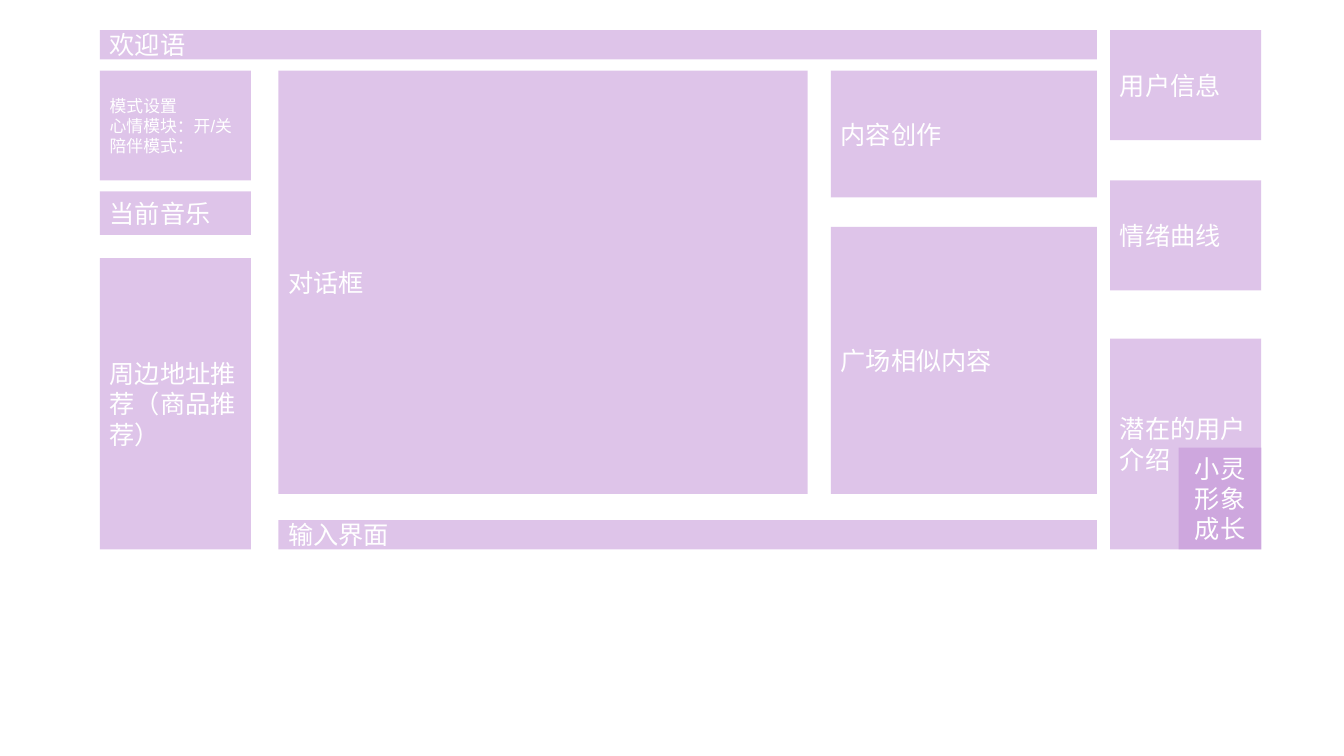
from dataclasses import dataclass

from lxml import etree
from pptx import Presentation
from pptx.dml.color import RGBColor
from pptx.enum.shapes import MSO_SHAPE as Preset
from pptx.enum.text import MSO_ANCHOR as Anchor, PP_ALIGN as Align
from pptx.oxml.ns import qn
from pptx.util import Inches, Pt


@dataclass(frozen=True)
class Theme:
    panel: RGBColor = RGBColor(0xBF, 0x8B, 0xD5)
    alpha: str = "50000"
    text: RGBColor = RGBColor(0xFF, 0xFF, 0xFF)
    font: str = "Arial"
    label: Pt = Pt(18)
    small: Pt = Pt(12)


theme = Theme()
prs = Presentation()
prs.slide_width, prs.slide_height = Inches(13.33), Inches(7.5)
slide = prs.slides.add_slide(prs.slide_layouts[6])


def add_panel(label, left, top, width, height, size=theme.label, align=Align.LEFT):
    panel = slide.shapes.add_shape(
        Preset.RECTANGLE, Inches(left), Inches(top), Inches(width), Inches(height))
    panel.shadow.inherit = False
    panel.line.fill.background()
    panel.fill.solid()
    panel.fill.fore_color.rgb = theme.panel
    color = panel.fill._xPr.find(qn("a:solidFill"))[0]
    etree.SubElement(color, qn("a:alpha"), val=theme.alpha)

    frame = panel.text_frame
    frame.word_wrap = True
    frame.vertical_anchor = Anchor.MIDDLE
    frame.text = label
    for paragraph in frame.paragraphs:
        paragraph.alignment = align
        for run in paragraph.runs:
            run.font.name = theme.font
            run.font.size = size
            run.font.color.rgb = theme.text


# Page grid: sidebars on both sides, chat and content between them
left_bar, chat, content, right_bar = 0.99, 2.76, 8.24, 11.01
bar_w, chat_w, content_w = 1.5, 5.25, 2.64
content_right = content + content_w
top, body_top, body_bottom, bottom = 0.3, 0.7, 4.9, 5.45
strip_h, card_h = 0.29, 1.09

# Welcome strip and input strip
add_panel("欢迎语", left_bar, top, content_right - left_bar, strip_h)
add_panel("输入界面", chat, bottom - strip_h, content_right - chat, strip_h)

# Left sidebar
add_panel("模式设置\n心情模块：开/关\n陪伴模式：",
          left_bar, body_top, bar_w, card_h, size=theme.small)
add_panel("当前音乐", left_bar, 1.9, bar_w, 0.43)
add_panel("周边地址推荐（商品推荐）", left_bar, 2.56, bar_w, bottom - 2.56)

# Chat and content columns
add_panel("对话框", chat, body_top, chat_w, body_bottom - body_top)
add_panel("内容创作", content, body_top, content_w, 1.26)
add_panel("广场相似内容", content, 2.25, content_w, body_bottom - 2.25)

# Right sidebar
add_panel("用户信息", right_bar, top, bar_w, card_h)
add_panel("情绪曲线", right_bar, 1.79, bar_w, card_h)
add_panel("潜在的用户介绍", right_bar, 3.36, bar_w, bottom - 3.36)

# Companion badge in the lower right corner
badge_w, badge_h = 0.82, 1.01
add_panel("小灵形象成长", right_bar + bar_w - badge_w, bottom - badge_h,
          badge_w, badge_h, align=Align.CENTER)

prs.save("out.pptx")
